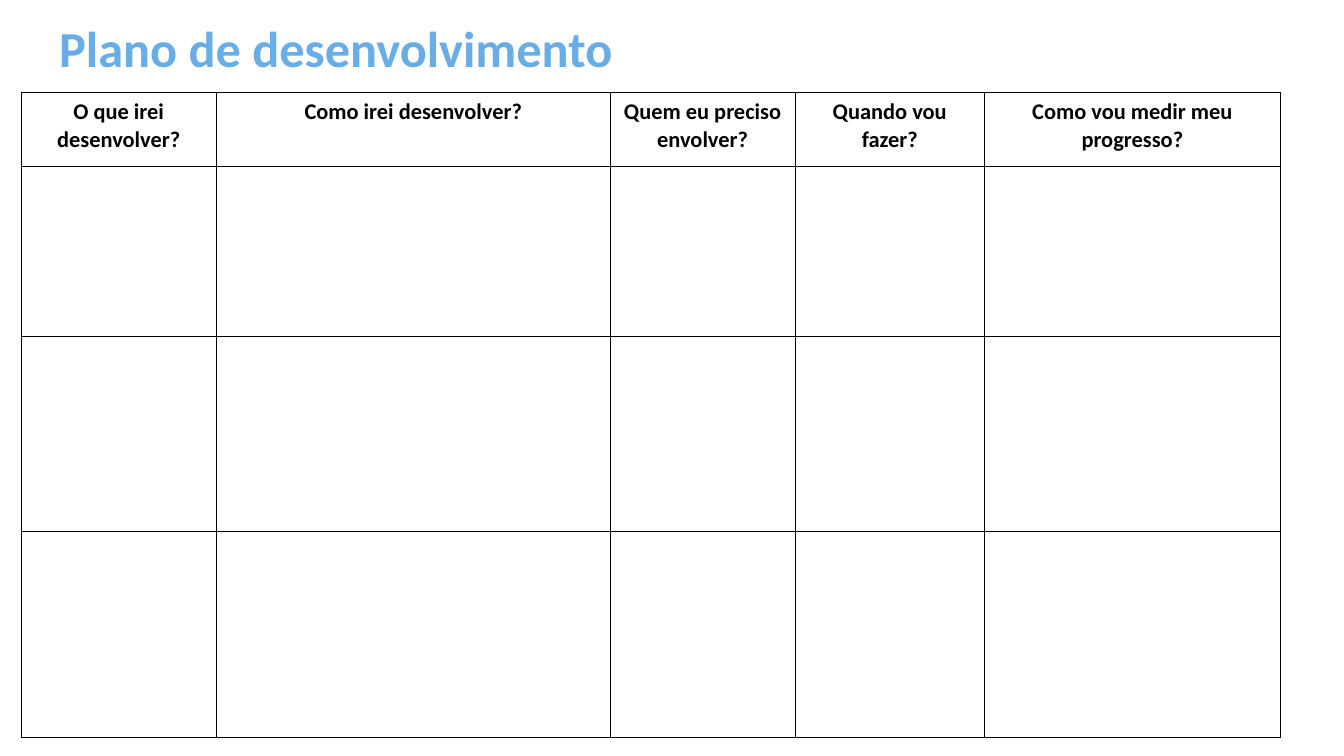
from dataclasses import dataclass

from lxml.etree import SubElement
from pptx import Presentation
from pptx.dml.color import RGBColor as RGB
from pptx.enum.text import MSO_ANCHOR as Anchor, MSO_AUTO_SIZE as AutoSize, PP_ALIGN as Align
from pptx.oxml.ns import qn
from pptx.util import Cm, Pt


@dataclass(frozen=True)
class Theme:
    font: str = "Calibri"
    accent: str = "69ADE7"
    ink: str = "000000"
    paper: str = "FFFFFF"
    title_size: int = 54
    header_size: int = 24
    border: int = 1


THEME = Theme()
TITLE = "Plano de desenvolvimento"
HEADERS = [
    "O que irei desenvolver?",
    "Como irei desenvolver?",
    "Quem eu preciso envolver?",
    "Quando vou fazer?",
    "Como vou medir meu progresso?",
]
COL_WIDTHS = [7.39, 14.88, 6.99, 7.16, 11.18]
ROW_HEIGHTS = [2.82, 6.4, 7.39, 7.8]


def style_text(tf, size, color, align):
    for p in tf.paragraphs:
        p.alignment = align
        for r in p.runs:
            r.font.name = THEME.font
            r.font.size = Pt(size)
            r.font.bold = True
            r.font.color.rgb = RGB.from_string(color)


def set_borders(cell):
    tc_pr = cell._tc.get_or_add_tcPr()
    for i, side in enumerate(("lnL", "lnR", "lnT", "lnB")):
        ln = SubElement(tc_pr, qn(f"a:{side}"), w=str(Pt(THEME.border)))
        fill = SubElement(ln, qn("a:solidFill"))
        SubElement(fill, qn("a:srgbClr"), val=THEME.ink)
        tc_pr.insert(i, ln)


def add_title(s, left, top, width, height):
    sp = s.shapes.title
    sp.left, sp.top, sp.width, sp.height = Cm(left), Cm(top), Cm(width), Cm(height)
    tf = sp.text_frame
    tf.text = TITLE
    tf.auto_size = AutoSize.NONE
    tf.vertical_anchor = Anchor.MIDDLE
    style_text(tf, THEME.title_size, THEME.accent, Align.LEFT)


def add_plan_table(s, left, top, width, height):
    table = s.shapes.add_table(
        len(ROW_HEIGHTS), len(COL_WIDTHS), Cm(left), Cm(top), Cm(width), Cm(height)
    ).table
    table.first_row = table.horz_banding = False
    for column, share in zip(table.columns, COL_WIDTHS):
        column.width = Cm(width * share / sum(COL_WIDTHS))
    for row, share in zip(table.rows, ROW_HEIGHTS):
        row.height = Cm(height * share / sum(ROW_HEIGHTS))
    for cell in table.iter_cells():
        cell.fill.solid()
        cell.fill.fore_color.rgb = RGB.from_string(THEME.paper)
        cell.margin_left = cell.margin_right = Cm(0.51)
        cell.margin_top = cell.margin_bottom = Cm(0.25)
        set_borders(cell)
    for cell, header in zip(table.rows[0].cells, HEADERS):
        cell.text_frame.text = header
        style_text(cell.text_frame, THEME.header_size, THEME.ink, Align.CENTER)


def main():
    prs = Presentation()
    prs.slide_width, prs.slide_height = Cm(50.8), Cm(28.58)
    s = prs.slides.add_slide(prs.slide_layouts[5])
    add_title(s, 1.98, 0.89, 34.67, 1.8)
    add_plan_table(s, 0.79, 3.48, 47.6, 24.41)
    prs.save("out.pptx")


if __name__ == "__main__":
    main()
